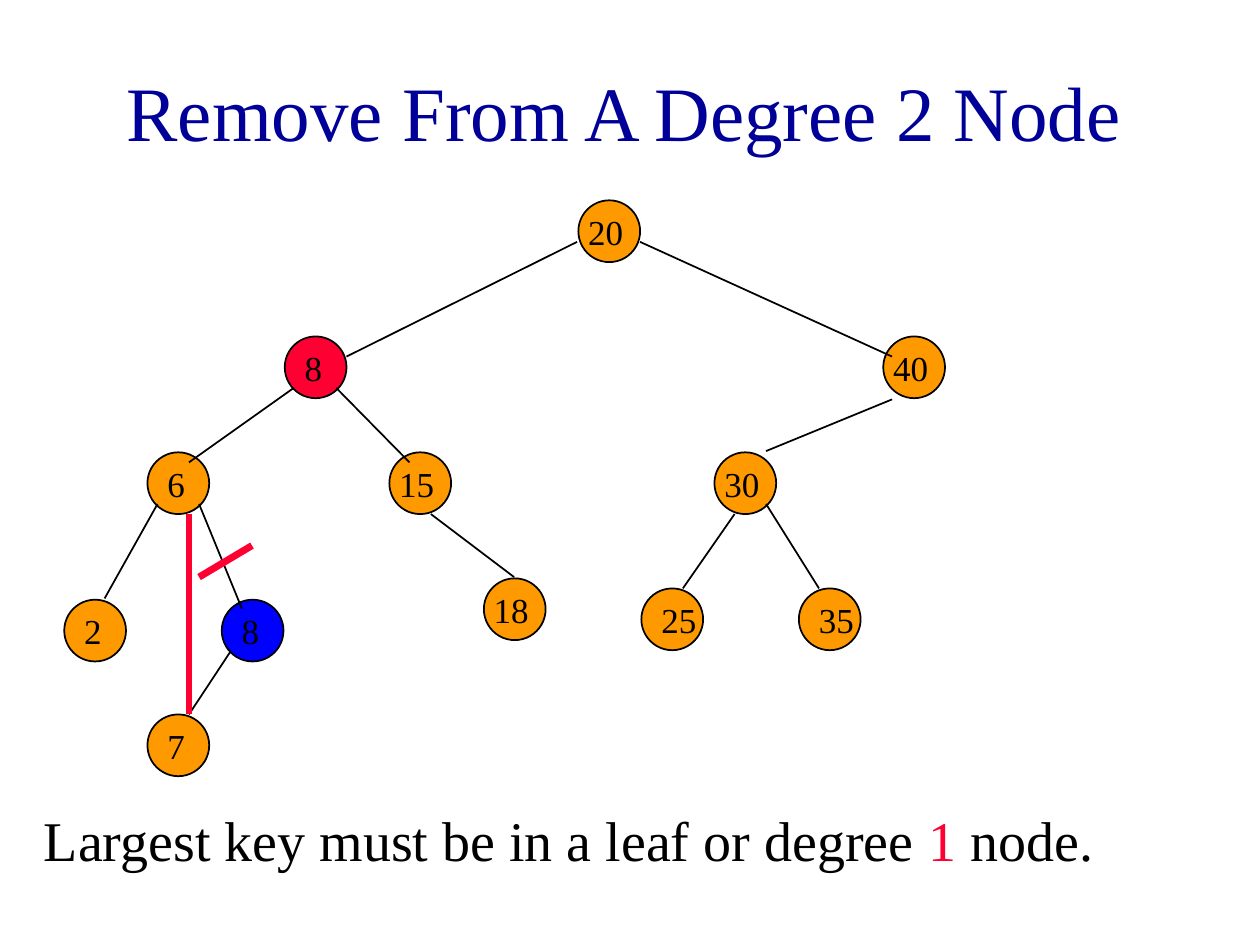
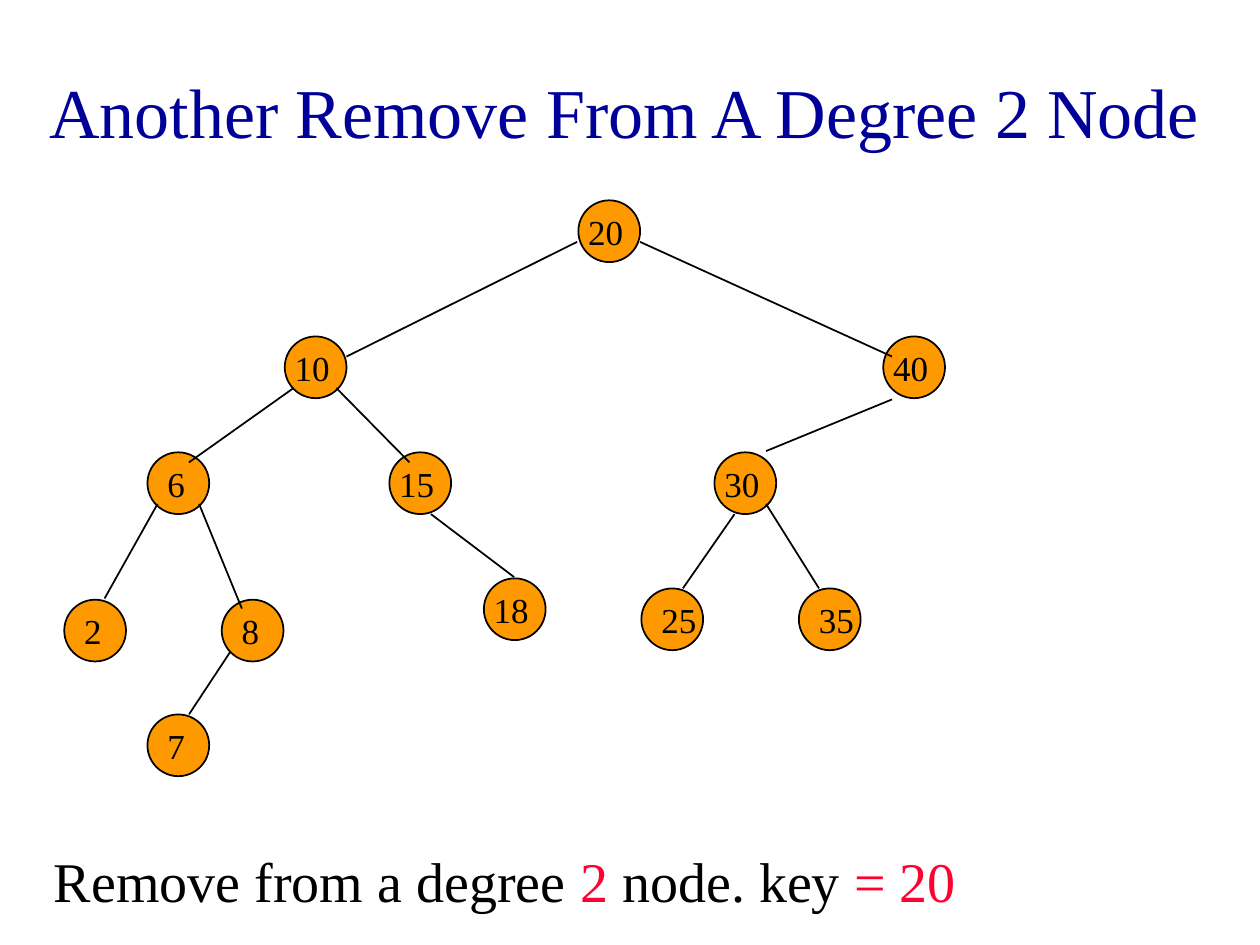
import lxml.etree
import pptx
import pptx.dml.color
import pptx.enum.shapes
import pptx.enum.text
import pptx.oxml.ns
import pptx.util

PX = 9144  # EMU in one px, 100 px to the inch
FONT = "Times New Roman"
NAVY, BLACK, ORANGE, RED, BLUE = "000099", "000000", "FF9900", "FF0033", "0000FF"

# Regions of a slide: left, top, width, height
TITLE_BOX = (8, 25, 975, 125)
TREE_BOX = (51, 159, 699, 457)

DIAMETER = 49
LABEL_SIZES = {1: (34, 43), 2: (48, 43)}  # by number of digits
# Left and top of each node within the tree, by its usual key
NODES = {
    20: (408, 0),
    10: (175, 108), 40: (650, 108),
    6: (66, 200), 15: (258, 200), 30: (516, 200),
    2: (0, 317), 8: (125, 317), 18: (333, 300), 25: (458, 308), 35: (583, 308),
    7: (66, 408),
}
RIGHT_SET_LABELS = (25, 35)
# Start and end of each edge within the tree, by parent and child
EDGES = {
    (20, 10): (407, 33, 224, 124), (20, 40): (457, 33, 657, 124),
    (10, 6): (182, 149, 99, 208), (10, 15): (216, 149, 274, 208),
    (40, 30): (657, 158, 557, 199),
    (6, 2): (74, 241, 32, 316), (6, 8): (107, 241, 141, 324),
    (15, 18): (291, 249, 357, 299),
    (30, 25): (532, 249, 491, 308), (30, 35): (557, 241, 599, 308),
    (8, 7): (132, 358, 99, 408),
}
NEW_LINK = (99, 249, 99, 408)
CUT_MARK = (149, 274, 107, 299)

TIGHT_FRAME = {
    "margin_left": 10 * PX, "margin_right": 10 * PX,
    "margin_top": 5 * PX, "margin_bottom": 5 * PX,
}
TITLE_FRAME = {
    **TIGHT_FRAME, "word_wrap": True,
    "auto_size": pptx.enum.text.MSO_AUTO_SIZE.NONE,
    "vertical_anchor": pptx.enum.text.MSO_ANCHOR.MIDDLE,
}
CAPTION_FRAME = {
    **TIGHT_FRAME, "word_wrap": True,
    "auto_size": pptx.enum.text.MSO_AUTO_SIZE.SHAPE_TO_FIT_TEXT,
}
LABEL_FRAME = {**CAPTION_FRAME, "word_wrap": False}


def color(hex_value):
    return pptx.dml.color.RGBColor.from_string(hex_value)


def emu(*lengths):
    return [pptx.util.Emu(length * PX) for length in lengths]


def set_attributes(target, values):
    for attribute, value in values.items():
        setattr(target, attribute, value)


def write(frame, frame_format, runs, size):
    """Fill the first paragraph with (text, colour) runs."""
    set_attributes(frame, frame_format)
    paragraph = frame.paragraphs[0]
    for text, hex_value in runs:
        run = paragraph.add_run()
        run.text = text
        set_attributes(run.font, {"name": FONT, "size": pptx.util.Pt(size)})
        run.font.color.rgb = color(hex_value)
    return paragraph


def add_title(slide, box, text, size):
    title = slide.shapes.title
    set_attributes(title, dict(zip(("left", "top", "width", "height"), emu(*box))))
    paragraph = write(title.text_frame, TITLE_FRAME, [(text, NAVY)], size)
    paragraph.alignment = pptx.enum.text.PP_ALIGN.CENTER


def add_caption(slide, box, runs):
    caption = slide.shapes.add_textbox(*emu(*box))
    write(caption.text_frame, CAPTION_FRAME, runs, 32)


def add_node(shapes, x, y, fill):
    node = shapes.add_shape(
        pptx.enum.shapes.MSO_SHAPE.OVAL, *emu(x, y, DIAMETER, DIAMETER))
    node.shadow.inherit = False
    node.fill.solid()
    node.fill.fore_color.rgb = color(fill)
    node.line.color.rgb = color(BLACK)
    node.line.width = pptx.util.Pt(1)


def add_edge(shapes, box, ends, hex_value=BLACK, width=1):
    left, top = box[:2]
    x1, y1, x2, y2 = ends
    edge = shapes.add_connector(
        pptx.enum.shapes.MSO_CONNECTOR.STRAIGHT,
        *emu(left + x1, top + y1, left + x2, top + y2))
    edge.line.color.rgb = color(hex_value)
    edge.line.width = pptx.util.Pt(width)
    lxml.etree.SubElement(edge._element.spPr, pptx.oxml.ns.qn("a:effectLst"))


def add_label(shapes, x, y, key, right_set):
    text = str(key)
    indent = 6 if len(text) == 1 or right_set else -2
    label = shapes.add_textbox(*emu(x + indent, y + 3, *LABEL_SIZES[len(text)]))
    write(label.text_frame, LABEL_FRAME, [(text, BLACK)], 20)


def add_tree(shapes, box, new_keys=None, fills=None):
    """Draw the search tree; new_keys and fills override single nodes."""
    new_keys, fills = new_keys or {}, fills or {}
    left, top = box[:2]
    for key, (x, y) in NODES.items():
        add_node(shapes, left + x, top + y, fills.get(key, ORANGE))
    for ends in EDGES.values():
        add_edge(shapes, box, ends)
    for key, (x, y) in NODES.items():
        add_label(shapes, left + x, top + y, new_keys.get(key, key),
                  key in RIGHT_SET_LABELS)


def add_slide(deck, title, title_size, caption_box, caption):
    slide = deck.slides.add_slide(deck.slide_layouts[5])
    add_title(slide, TITLE_BOX, title, title_size)
    add_caption(slide, caption_box, caption)
    return slide


def add_replacement_slide(deck):
    slide = add_slide(
        deck, "Remove From A Degree 2 Node", 44, (25, 634, 900, 63),
        [("Largest key must be in a leaf or degree ", BLACK),
         ("1 ", RED), ("node.", BLACK)])
    # Key 8 moves up, and 7 is linked to 6 in its place
    add_tree(slide.shapes, TREE_BOX, {10: 8}, {10: RED, 8: BLUE})
    for ends in (NEW_LINK, CUT_MARK):
        add_edge(slide.shapes, TREE_BOX, ends, RED, 4)


def add_next_removal_slide(deck):
    slide = add_slide(
        deck, "Another Remove From A Degree 2 Node", 40, (33, 667, 900, 63),
        [("Remove from a degree ", BLACK), ("2 ", RED),
         ("node. key ", BLACK), ("= 20", RED)])
    add_tree(slide.shapes.add_group_shape().shapes, TREE_BOX)


def main():
    deck = pptx.Presentation()
    deck.slide_width, deck.slide_height = emu(1000, 750)
    add_replacement_slide(deck)
    add_next_removal_slide(deck)
    deck.save("out.pptx")


if __name__ == "__main__":
    main()
